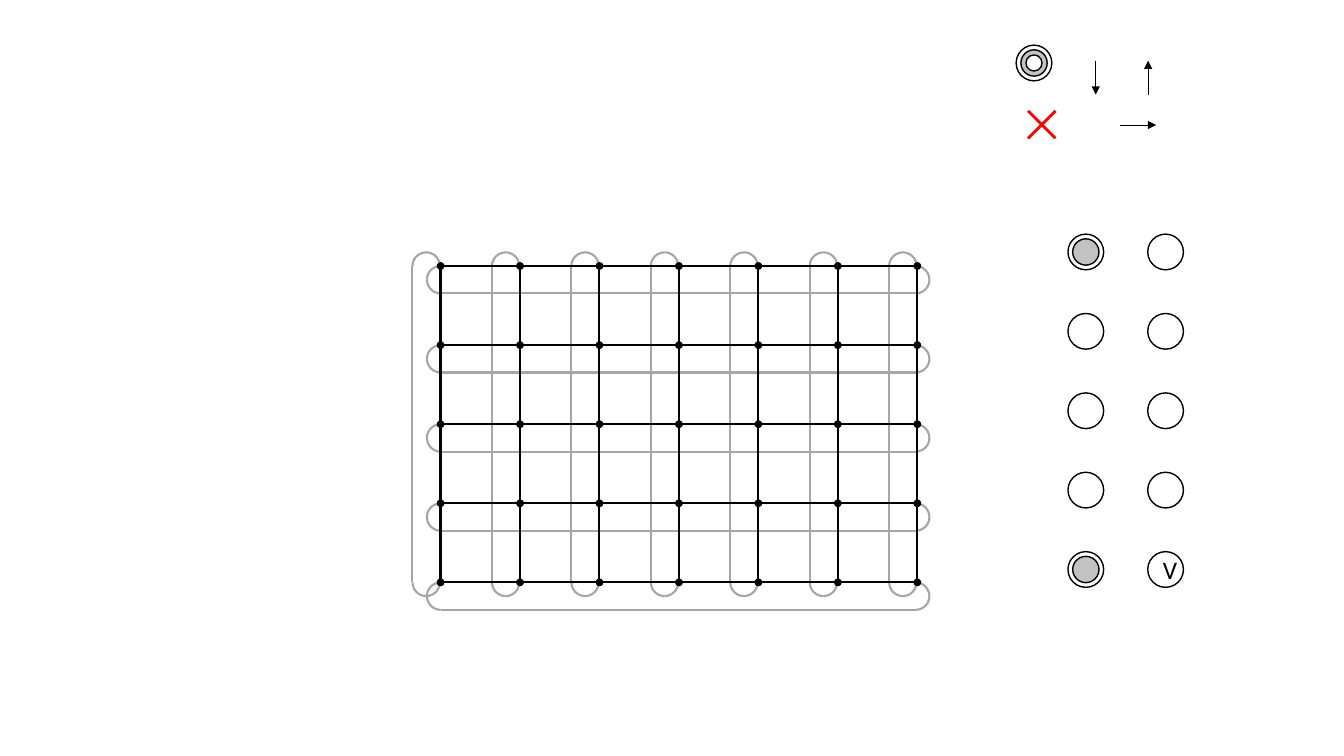
from dataclasses import dataclass
from itertools import product

from pptx import Presentation
from pptx.dml.color import RGBColor
from pptx.enum.shapes import MSO_CONNECTOR as Connector, MSO_SHAPE as Shape
from pptx.enum.text import MSO_ANCHOR as Anchor, PP_ALIGN as Align
from pptx.oxml.ns import qn
from pptx.util import Pt
from lxml.etree import SubElement


@dataclass(frozen=True)
class Theme:
    black: str = "000000"
    white: str = "FFFFFF"
    shade: str = "BFBFBF"
    loop: str = "A6A6A6"
    cross: str = "FF0000"
    font: str = "Calibri"
    label_size: float = 18
    thin: float = 0.5
    outline: float = 1
    grid_line: float = 1.5
    cross_line: float = 2
    shade_alpha: int = 94000


theme = Theme()

ARROWS = [
    ((800, 89.3), (825.8, 89.3)),
    ((782.7, 43.3), (782.7, 67.6)),
    ((820.1, 67.6), (820.1, 43.3)),
]
CROSS_CENTER, CROSS_REACH = (744.1, 89), 9.8
TARGET_CENTER = (738.6, 45)
RING, DISC, HOLE = 25.5, 18.8, 11.5

STATE_COLUMNS = [775.6, 832.6]
STATE_TOP, STATE_STEP = 180, 56.7
STATES = [
    ("shaded", ""),
    ("", ""),
    ("", ""),
    ("", ""),
    ("shaded", "V"),
]

GRID_LEFT, GRID_TOP = 314.7, 190
COLUMN_STEP, ROW_STEP = 56.75, 56.5
LOOP, DOT = 19.6, 4.5
LOOP_RIGHT = 654.1
COLUMNS = [GRID_LEFT + COLUMN_STEP * index for index in range(7)]
ROWS = [GRID_TOP + ROW_STEP * index for index in range(5)]
TOP_RIGHT, BOTTOM_RIGHT, BOTTOM_LEFT, TOP_LEFT = 0, 90, 180, 270


def add_line(shapes, start, end, color, width, arrow=False):
    points = [Pt(value) for value in (*start, *end)]
    connector = shapes.add_connector(Connector.STRAIGHT, *points)
    connector.line.color.rgb = RGBColor.from_string(color)
    connector.line.width = Pt(width)
    if arrow:
        SubElement(connector.line._get_or_add_ln(), qn("a:tailEnd"), type="triangle")
    SubElement(connector._element.spPr, qn("a:effectLst"))


def add_round(shapes, kind, center, diameter, color, width):
    x, y = (Pt(value - diameter / 2) for value in center)
    shape = shapes.add_shape(kind, x, y, Pt(diameter), Pt(diameter))
    shape.shadow.inherit = False
    shape.line.color.rgb = RGBColor.from_string(color)
    shape.line.width = Pt(width)
    return shape


def add_circle(shapes, center, diameter, fill=theme.white):
    circle = add_round(shapes, Shape.OVAL, center, diameter, theme.black, theme.outline)
    circle.fill.solid()
    circle.fill.fore_color.rgb = RGBColor.from_string(fill)
    if fill == theme.shade:
        color = circle._element.spPr.find(qn("a:solidFill"))[0]
        SubElement(color, qn("a:alpha"), val=str(theme.shade_alpha))
    return circle


def add_rings(shapes, center, *rings):
    group = shapes.add_group_shape()
    for diameter, fill in rings:
        add_circle(group.shapes, center, diameter, fill)


def add_loop(shapes, ends, line):
    group = shapes.add_group_shape()
    for center, quarters in ends:
        for rotation in quarters:
            arc = add_round(group.shapes, Shape.ARC, center, LOOP, theme.loop, theme.grid_line)
            arc.fill.background()
            arc.rotation = rotation
    add_line(group.shapes, *line, theme.loop, theme.grid_line)


def add_legend(shapes):
    for start, end in ARROWS:
        add_line(shapes, start, end, theme.black, theme.thin, arrow=True)
    x, y = CROSS_CENTER
    cross = shapes.add_group_shape()
    for reach in (CROSS_REACH, -CROSS_REACH):
        add_line(cross.shapes, (x - reach, y - CROSS_REACH), (x + reach, y + CROSS_REACH),
                 theme.cross, theme.cross_line)
    add_rings(shapes, TARGET_CENTER, (RING, theme.white), (DISC, theme.shade), (HOLE, theme.white))


def add_states(shapes):
    for row, states in enumerate(STATES):
        for x, state in zip(STATE_COLUMNS, states):
            center = (x, STATE_TOP + STATE_STEP * row)
            if state == "shaded":
                add_rings(shapes, center, (RING, theme.white), (DISC, theme.shade))
                continue
            circle = add_circle(shapes, center, RING)
            if state:
                frame = circle.text_frame
                frame.text = state
                frame.vertical_anchor = Anchor.MIDDLE
                paragraph = frame.paragraphs[0]
                paragraph.alignment = Align.CENTER
                paragraph.font.name = theme.font
                paragraph.font.size = Pt(theme.label_size)
                paragraph.font.color.rgb = RGBColor.from_string(theme.black)


def add_torus(shapes):
    radius = LOOP / 2
    top, bottom = ROWS[0], ROWS[-1]
    left, right = COLUMNS[0], COLUMNS[-1]
    for x in COLUMNS:
        side, middle = x - LOOP - 0.5, x - radius - 0.5
        add_loop(shapes,
                 [((middle, top), (TOP_LEFT, TOP_RIGHT)),
                  ((middle, bottom), (BOTTOM_RIGHT, BOTTOM_LEFT))],
                 ((side, top), (side, bottom)))
    for y in reversed(ROWS):
        add_loop(shapes,
                 [((left, y + radius), (BOTTOM_LEFT, TOP_LEFT)),
                  ((LOOP_RIGHT, y + radius), (TOP_RIGHT, BOTTOM_RIGHT))],
                 ((left, y + LOOP), (LOOP_RIGHT, y + LOOP)))
    grid = shapes.add_group_shape().shapes
    for x in COLUMNS:
        add_line(grid, (x, top), (x, bottom), theme.black, theme.grid_line)
    for y in ROWS:
        add_line(grid, (left, y), (right, y), theme.black, theme.grid_line)
    nodes = shapes.add_group_shape().shapes
    for y, x in product(ROWS, COLUMNS):
        add_circle(nodes, (x, y), DOT, theme.black)


presentation = Presentation()
presentation.slide_width, presentation.slide_height = Pt(960), Pt(540)
slide = presentation.slides.add_slide(presentation.slide_layouts[6])
add_legend(slide.shapes)
add_states(slide.shapes)
add_torus(slide.shapes)
presentation.save("out.pptx")
